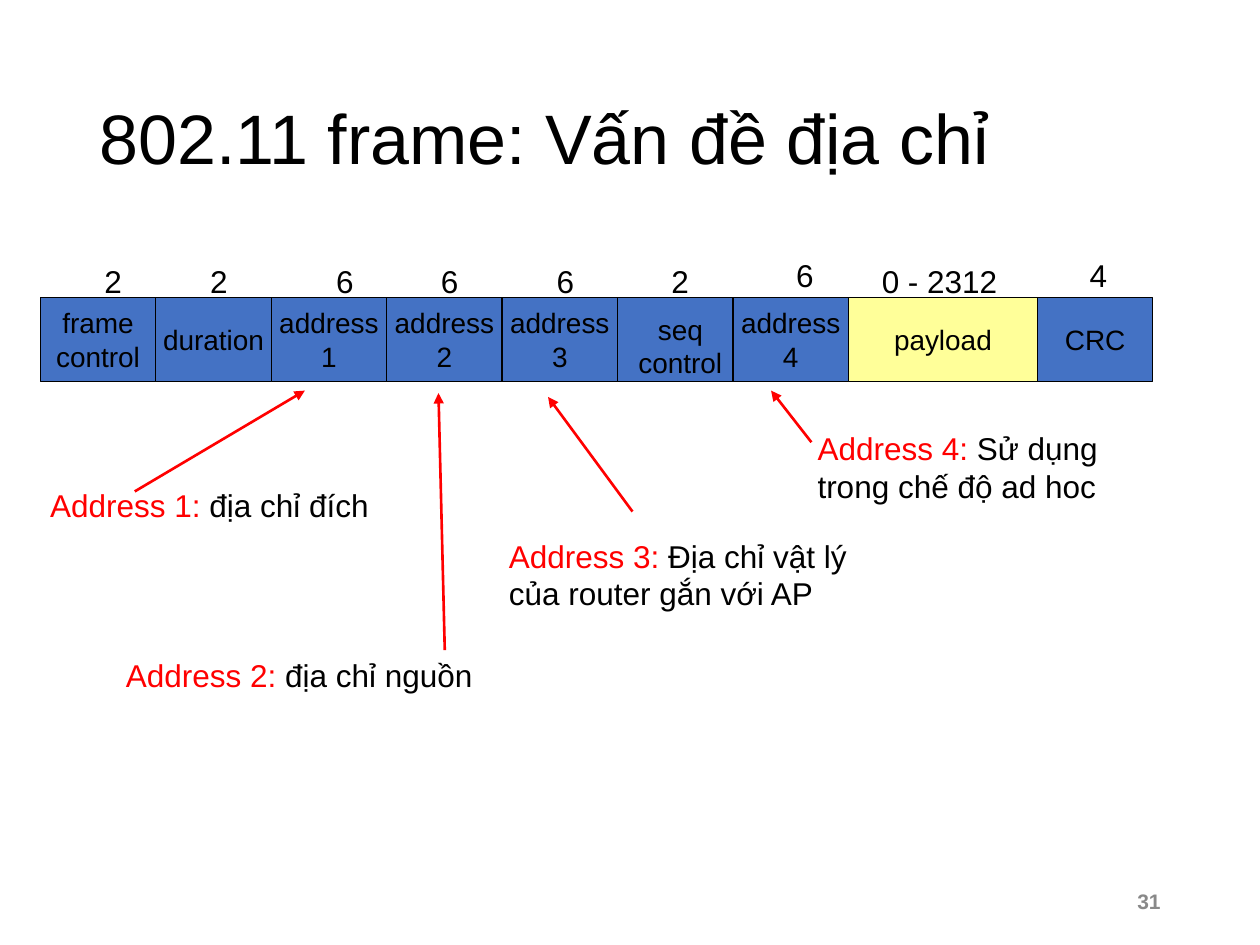
import dataclasses

import lxml.etree
import pptx
import pptx.dml.color
import pptx.enum.shapes
import pptx.enum.text
import pptx.oxml.ns
import pptx.util

Inches = pptx.util.Inches
Align = pptx.enum.text.PP_ALIGN
Anchor = pptx.enum.text.MSO_ANCHOR


@dataclasses.dataclass(frozen=True)
class Theme:
    font: str = "Arial"
    ink: str = "000000"
    field: str = "4472C4"
    payload: str = "FFFF99"
    accent: str = "FF0000"
    muted: str = "898989"
    title_size: int = 40
    body_size: int = 18
    field_size: int = 16
    number_size: int = 12
    border: float = 0.75
    arrow: float = 1.5


def rgb(color):
    return pptx.dml.color.RGBColor.from_string(color)


def write_text(frame, lines, *, font, size, color, bold=False, align=Align.LEFT,
               anchor=Anchor.TOP, wrap=False, spacing=None):
    frame.word_wrap = wrap
    frame.vertical_anchor = anchor
    for index, line in enumerate(lines):
        paragraph = frame.add_paragraph() if index else frame.paragraphs[0]
        paragraph.alignment = align
        if spacing:
            paragraph.line_spacing = spacing
        for words, run_color in [(line, color)] if isinstance(line, str) else line:
            run = paragraph.add_run()
            run.text = words
            run.font.name = font
            run.font.size = pptx.util.Pt(size)
            run.font.bold = bold
            run.font.color.rgb = rgb(run_color)


class SlideBuilder:
    def __init__(self, slide, theme):
        self.slide = slide
        self.theme = theme

    def title(self, words, left, top, width, height):
        heading = self.slide.shapes.title
        heading.left, heading.top = Inches(left), Inches(top)
        heading.width, heading.height = Inches(width), Inches(height)
        write_text(heading.text_frame, [words], font=self.theme.font,
                   size=self.theme.title_size, color=self.theme.ink,
                   anchor=Anchor.MIDDLE, wrap=True, spacing=0.9)

    def label(self, lines, left, top, width, height, fit=True, **text_format):
        box = self.slide.shapes.add_textbox(
            Inches(left), Inches(top), Inches(width), Inches(height))
        if fit:
            box.text_frame.auto_size = pptx.enum.text.MSO_AUTO_SIZE.SHAPE_TO_FIT_TEXT
        defaults = {"font": self.theme.font, "size": self.theme.body_size,
                    "color": self.theme.ink}
        write_text(box.text_frame, lines, **(defaults | text_format))

    def frame_field(self, lines, left, top, width, height, fill):
        cell = self.slide.shapes.add_shape(
            pptx.enum.shapes.MSO_SHAPE.RECTANGLE,
            Inches(left), Inches(top), Inches(width), Inches(height))
        cell.shadow.inherit = False
        cell.fill.solid()
        cell.fill.fore_color.rgb = rgb(fill)
        cell.line.color.rgb = rgb(self.theme.ink)
        cell.line.width = pptx.util.Pt(self.theme.border)
        write_text(cell.text_frame, lines, font=self.theme.font,
                   size=self.theme.field_size, color=self.theme.ink,
                   align=Align.CENTER, anchor=Anchor.MIDDLE)

    def arrow(self, start, end):
        pointer = self.slide.shapes.add_connector(
            pptx.enum.shapes.MSO_CONNECTOR.STRAIGHT,
            *(Inches(value) for value in (*start, *end)))
        pointer.line.color.rgb = rgb(self.theme.accent)
        pointer.line.width = pptx.util.Pt(self.theme.arrow)
        outline = pointer.line._get_or_add_ln()
        lxml.etree.SubElement(outline, pptx.oxml.ns.qn("a:tailEnd"), type="triangle")
        properties = outline.getparent()
        lxml.etree.SubElement(properties, pptx.oxml.ns.qn("a:effectLst"))

    def note(self, term, meaning, left, top, width, height, wrap=False):
        line = [(term, self.theme.accent), (meaning, self.theme.ink)]
        self.label([line], left, top, width, height, wrap=wrap)


def main():
    theme = Theme()
    presentation = pptx.Presentation()
    presentation.slide_width, presentation.slide_height = Inches(10), Inches(7.5)
    builder = SlideBuilder(
        presentation.slides.add_slide(presentation.slide_layouts[5]), theme)

    builder.title("802.11 frame: Vấn đề địa chỉ", 0.69, 0.4, 8.63, 1.45)
    builder.label(["31"], 7.06, 6.95, 2.25, 0.4, fit=False, size=theme.number_size,
                  color=theme.muted, bold=True, align=Align.RIGHT,
                  anchor=Anchor.MIDDLE, wrap=True)

    frame_fields = [
        (["frame", "control"], "2", 0.73, 2.03),
        (["duration"], "2", 1.57, 2.03),
        (["address", "1"], "6", 2.57, 2.03),
        (["address", "2"], "6", 3.4, 2.03),
        (["address", "3"], "6", 4.32, 2.03),
        ([], "2", 5.23, 2.03),
        (["address", "4"], "6", 6.22, 1.98),
        (["payload"], "0 - 2312", 6.9, 2.03),
        (["CRC"], "4", 8.55, 1.98),
    ]
    frame_width, payload_width = 8.83, 1.5
    field_width = (frame_width - payload_width) / (len(frame_fields) - 1)
    field_left = 0.32
    for names, byte_count, count_left, count_top in frame_fields:
        is_payload = names == ["payload"]
        width = payload_width if is_payload else field_width
        builder.frame_field(names, field_left, 2.36, width, 0.67,
                            theme.payload if is_payload else theme.field)
        builder.label([byte_count], count_left, count_top,
                      1.14 if is_payload else 0.34, 0.4)
        field_left += width
    builder.label(["seq", "control"], 4.95, 2.43, 0.9, 0.64,
                  size=theme.field_size, align=Align.CENTER)

    builder.note("Address 1:", " địa chỉ đích", 0.3, 3.81, 2.8, 0.4)
    builder.note("Address 2:", " địa chỉ nguồn", 0.9, 5.16, 2.95, 0.4)
    builder.note("Address 3:", " Địa chỉ vật lý của router gắn với AP",
                 3.94, 4.21, 3.34, 0.7, wrap=True)
    builder.note("Address 4:", " Sử dụng trong chế độ ad hoc",
                 6.39, 3.36, 2.85, 0.7, wrap=True)

    for start, end in [
        ((1.07, 3.9), (2.42, 3.1)),
        ((3.53, 5.16), (3.48, 3.12)),
        ((5.02, 4.06), (4.35, 3.15)),
        ((6.44, 3.51), (6.12, 3.1)),
    ]:
        builder.arrow(start, end)

    presentation.save("out.pptx")


if __name__ == "__main__":
    main()
